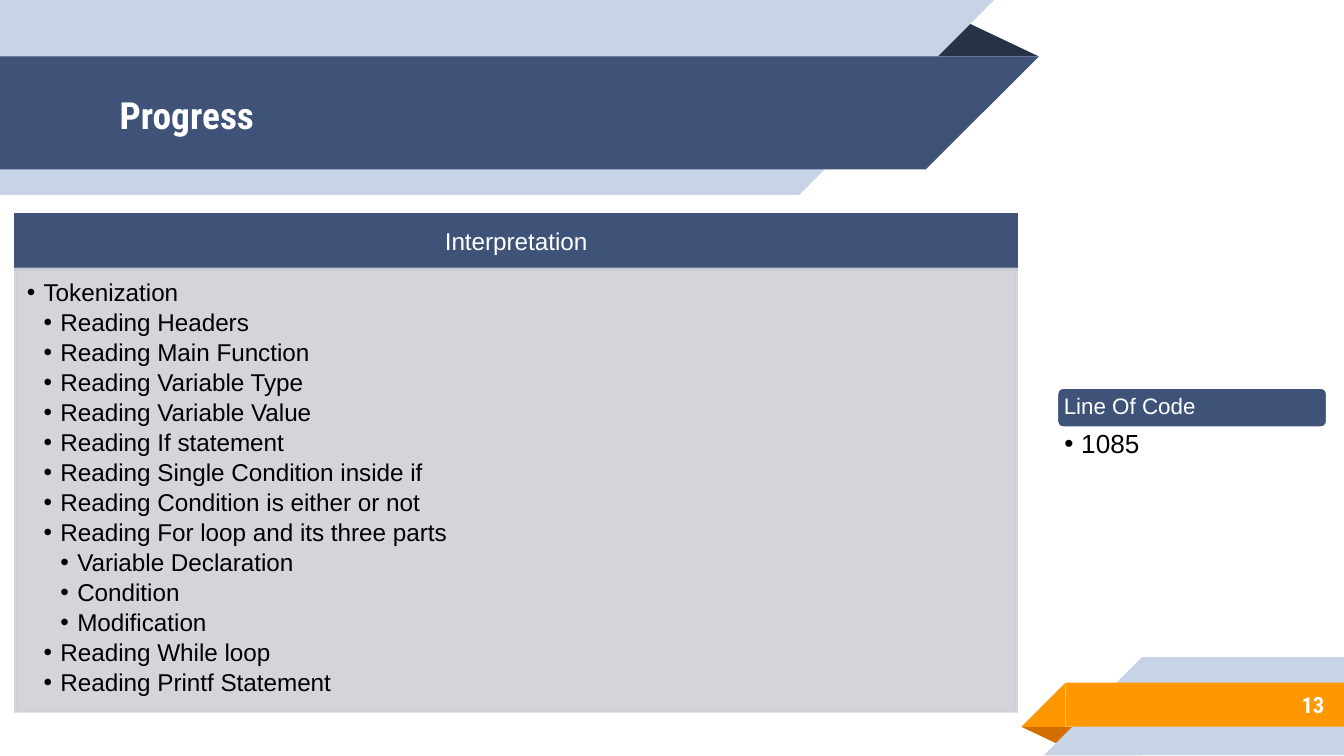
from collections import namedtuple

from lxml import etree
from pptx import Presentation
from pptx.dml.color import RGBColor
from pptx.enum.shapes import MSO_SHAPE
from pptx.enum.text import MSO_ANCHOR, MSO_AUTO_SIZE, PP_ALIGN
from pptx.oxml.ns import qn
from pptx.util import Inches, Pt

RECTANGLE = MSO_SHAPE.RECTANGLE
ROUNDED = MSO_SHAPE.ROUNDED_RECTANGLE
CORNER = MSO_SHAPE.RIGHT_TRIANGLE
TRIANGLE = MSO_SHAPE.ISOSCELES_TRIANGLE
TOP, MIDDLE = MSO_ANCHOR.TOP, MSO_ANCHOR.MIDDLE
LEFT, CENTER, RIGHT = PP_ALIGN.LEFT, PP_ALIGN.CENTER, PP_ALIGN.RIGHT
NO_AUTOFIT = MSO_AUTO_SIZE.NONE

COLORS = {
    "navy": "3F5378", "navy_fold": "263248", "light": "C7D3E6",
    "orange": "FF9800", "orange_fold": "D26F00", "gray": "CFD1D6",
    "white": "FFFFFF", "black": "000000",
}
HEADING_FONT, BODY_FONT = "Roboto Condensed", "Arial"
INDENT = 0.125

Box = namedtuple("Box", "left top width height")
SLIDE = Box(0, 0, 10, 10 * 9 / 16)

TASKS = [
    (1, "Tokenization"),
    (2, "Reading Headers"),
    (2, "Reading Main Function"),
    (2, "Reading Variable Type"),
    (2, "Reading Variable Value"),
    (2, "Reading If statement"),
    (2, "Reading Single Condition inside if"),
    (2, "Reading Condition is either or not"),
    (2, "Reading For loop and its three parts"),
    (3, "Variable Declaration"),
    (3, "Condition"),
    (3, "Modification"),
    (2, "Reading While loop"),
    (2, "Reading Printf Statement"),
]


def share(box, left, top, width, height):
    return Box(box.left + left * box.width, box.top + top * box.height,
               width * box.width, height * box.height)


def emu(box):
    return [Inches(length) for length in box]


def color(name):
    return RGBColor.from_string(COLORS[name])


def set_alpha(fill_parent, percent):
    for element in fill_parent.iter(qn("a:srgbClr")):
        etree.SubElement(element, qn("a:alpha"), val=str(percent * 1000))


def add_shape(slide, kind, box, fill, line=None, rotation=0, flip=None):
    shape = slide.shapes.add_shape(kind, *emu(box))
    shape.shadow.inherit = False
    shape.rotation = rotation
    if flip:
        shape.element.spPr.xfrm.set(flip, "1")
    shape.fill.solid()
    shape.fill.fore_color.rgb = color(fill)
    if line:
        shape.line.color.rgb = color(line)
        shape.line.width = Pt(2)
        etree.SubElement(shape.element.spPr.find(qn("a:ln")), qn("a:miter"), lim="800000")
    else:
        shape.line.fill.background()
    return shape


def add_bullet(paragraph, level):
    properties = paragraph._p.get_or_add_pPr()
    properties.set("marL", str(Inches(INDENT * level)))
    properties.set("indent", str(-Inches(INDENT)))
    etree.SubElement(properties, qn("a:buFont"), typeface=BODY_FONT)
    etree.SubElement(properties, qn("a:buChar"), char="•")


def write(shape, items, size, fill, font=BODY_FONT, bold=False, align=LEFT,
          anchor=MIDDLE, insets=(0.1, 0.1, 0.1, 0.1), line_spacing=0.9, gap=0):
    frame = shape.text_frame
    frame.word_wrap = True
    frame.auto_size = NO_AUTOFIT
    frame.vertical_anchor = anchor
    (frame.margin_left, frame.margin_top,
     frame.margin_right, frame.margin_bottom) = emu(insets)
    for index, (level, text) in enumerate(items):
        paragraph = frame.add_paragraph() if index else frame.paragraphs[0]
        paragraph.alignment = align
        paragraph.line_spacing = line_spacing
        paragraph.space_after = Pt(gap)
        if level:
            paragraph.level = level
            add_bullet(paragraph, level)
        run = paragraph.add_run()
        run.text = text
        run.font.name, run.font.size, run.font.bold = font, Pt(size), bold
        run.font.color.rgb = color(fill)


def add_band(slide, box, fill, mirrored):
    side = box.height
    body_left = box.left + side if mirrored else box.left
    tip_left = box.left if mirrored else box.left + box.width - side
    flip = "flipH" if mirrored else "flipV"
    add_shape(slide, RECTANGLE, Box(body_left, box.top, box.width - side, side),
              fill, flip=flip)
    add_shape(slide, CORNER, Box(tip_left, box.top, side, side), fill, flip=flip)


def add_ribbon(slide, box, front_fill, front_top, front_height, mirrored=False):
    step, fold_width, fold_height = [part * box.height for part in (0.23, 0.59, 0.19)]
    front = share(box, 0, front_top, 1, front_height)
    if mirrored:
        fold_left, fold_top = box.left, front.top + front.height
    else:
        fold_left, fold_top = box.left + box.width - fold_width, front.top - fold_height
    fold = add_shape(slide, TRIANGLE, Box(fold_left, fold_top, fold_width, fold_height),
                     front_fill + "_fold", rotation=180 if mirrored else 0)
    fold.adjustments[0] = 0.32
    back_left = box.left + step if mirrored else box.left
    add_band(slide, Box(back_left, box.top, box.width - step, box.height), "light", mirrored)
    add_band(slide, front, front_fill, mirrored)
    return front


def add_header(slide, box, text):
    front = add_ribbon(slide, box, "navy", 0.29, 0.58)
    title = slide.shapes.title
    title.left, title.top, title.width, title.height = emu(
        Box(box.left + 0.89, front.top + 0.01, 5.75, front.height))
    title.element.getparent().append(title.element)
    write(title, [(0, text)], 20, "white", HEADING_FONT, bold=True,
          insets=(0, 0.1, 0, 0.1), line_spacing=1)


def add_footer(slide, box, number):
    front = add_ribbon(slide, box, "orange", 0.26, 0.45, mirrored=True)
    label = slide.shapes.add_textbox(*emu(share(front, 0.3, 0, 0.68, 1)))
    write(label, [(0, number)], 12, "white", HEADING_FONT, bold=True,
          align=RIGHT, line_spacing=1)


def add_task_panel(slide, box, heading, tasks):
    header = add_shape(slide, RECTANGLE, share(box, 0, 0, 1, 0.11), "navy", "navy")
    write(header, [(0, heading)], 13, "white", align=CENTER,
          insets=(0.1, 0.06, 0.1, 0.06))
    body = add_shape(slide, RECTANGLE, share(box, 0, 0.11, 1, 0.89), "gray", "gray")
    set_alpha(body.element.spPr, 90)
    write(body, tasks, 13, "black", anchor=TOP,
          insets=(0.08, 0.08, 0.1, 0.11), gap=2)


def add_code_count(slide, box, heading, count):
    header = add_shape(slide, ROUNDED, share(box, 0, 0, 1, 0.56), "navy", "white")
    write(header, [(0, heading)], 12, "white", insets=(0.04, 0.05, 0.05, 0.05))
    value = slide.shapes.add_textbox(*emu(share(box, 0, 0.56, 1, 0.44)))
    write(value, [(1, count)], 14, "black", anchor=TOP,
          insets=(0.06, 0.02, 0.11, 0.02))


def main():
    presentation = Presentation()
    presentation.slide_width = Inches(SLIDE.width)
    presentation.slide_height = Inches(SLIDE.height)
    slide = presentation.slides.add_slide(presentation.slide_layouts[5])
    add_header(slide, Box(0, 0, 7.73, 1.45), "Progress")
    add_footer(slide, Box(7.6, 4.89, 2.4, 0.73), "13")
    add_task_panel(slide, Box(0.12, 1.6, 7.44, 3.69), "Interpretation", TASKS)
    add_code_count(slide, Box(7.86, 2.88, 2.02, 0.55), "Line Of Code", "1085")
    presentation.save("out.pptx")


if __name__ == "__main__":
    main()
